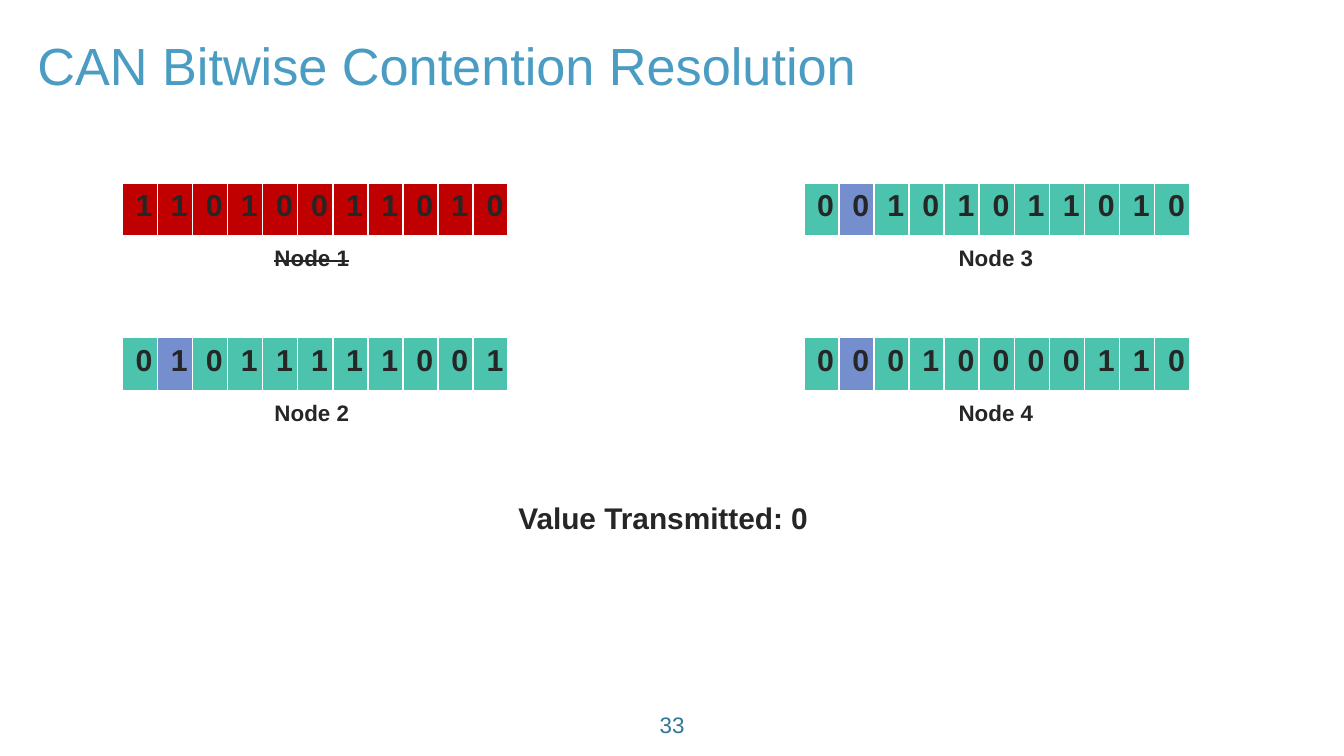
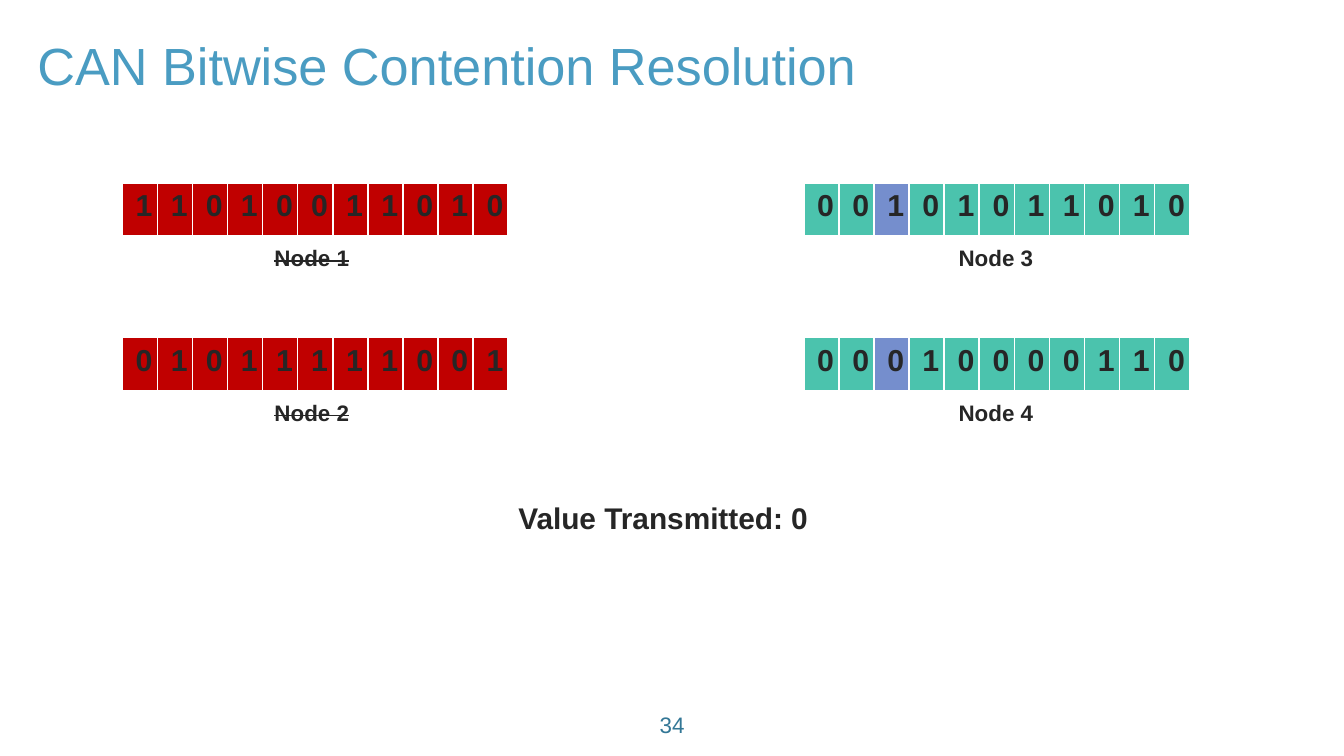
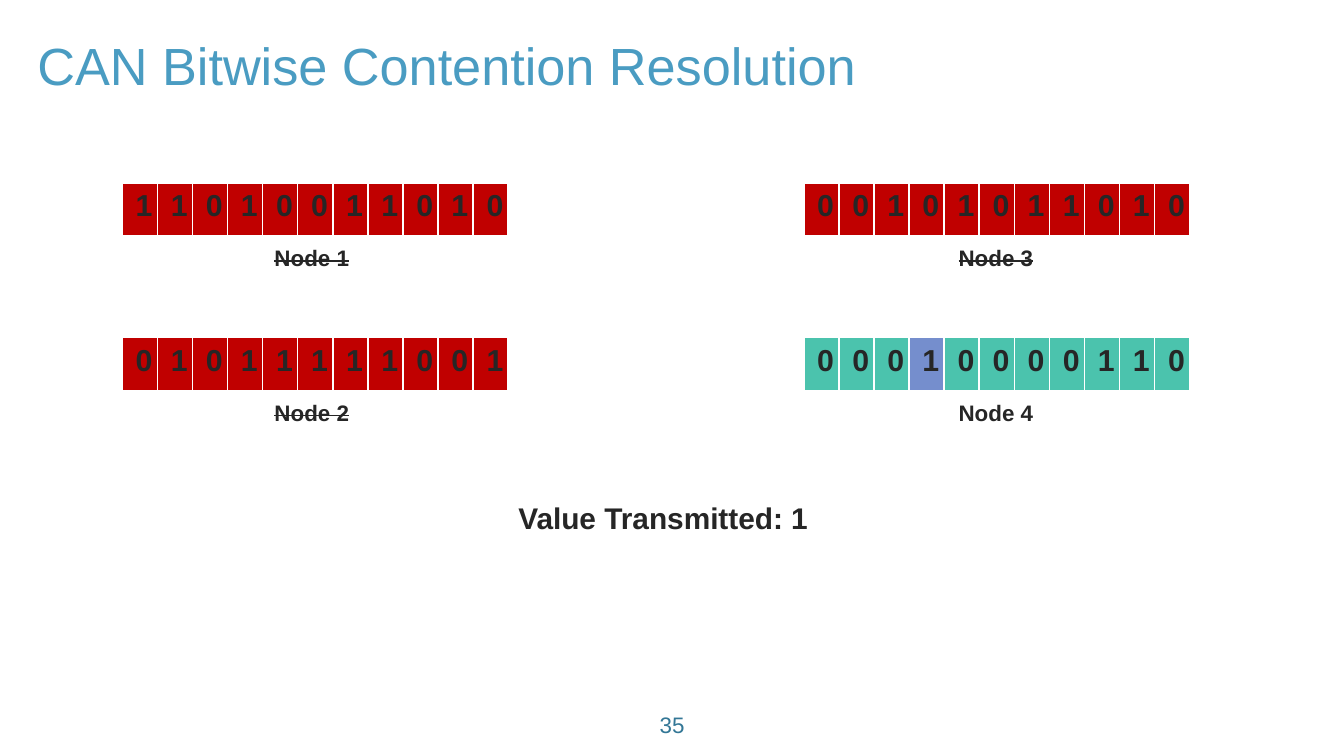
from dataclasses import dataclass

from lxml.etree import SubElement
from pptx import Presentation
from pptx.dml.color import RGBColor
from pptx.enum.text import MSO_ANCHOR, MSO_AUTO_SIZE, PP_ALIGN
from pptx.oxml.ns import qn
from pptx.slide import Slide
from pptx.text.text import _Paragraph
from pptx.util import Pt

COLORS = {
    "title": "4A9CC2",
    "page": "337796",
    "text": "262626",
    "lost": "C00000",
    "active": "4BC3AD",
    "current": "758ECD",
    "border": "FFFFFF",
}
FONT = "Arial"
FIRST_PAGE = 33
BIT_WIDTH, BIT_HEIGHT = 18.8, 29.5
BORDERS = {"a:lnL": 1, "a:lnR": 1, "a:lnT": 1, "a:lnB": 3}


@dataclass(frozen=True)
class Node:
    name: str
    bits: str
    left: float
    top: float
    label_left: float


@dataclass(frozen=True)
class Caption:
    left: float
    top: float
    width: float
    height: float
    size: float
    color: str = "text"
    bold: bool = True
    wrap: bool = False
    align: PP_ALIGN = PP_ALIGN.CENTER
    anchor: MSO_ANCHOR = MSO_ANCHOR.TOP
    inset_top: float = 3.6
    inset_bottom: float = 3.6


LEFT, RIGHT = (65.5, 139.7), (430.6, 506.2)
UPPER, LOWER = 97.9, 180.7
NODES = [
    Node("Node 1", "11010011010", LEFT[0], UPPER, LEFT[1]),
    Node("Node 3", "00101011010", RIGHT[0], UPPER, RIGHT[1]),
    Node("Node 2", "01011111001", LEFT[0], LOWER, LEFT[1]),
    Node("Node 4", "00010000110", RIGHT[0], LOWER, RIGHT[1]),
]

TITLE = Caption(13, 11.5, 689, 41, 28, "title", bold=False, wrap=True,
                align=PP_ALIGN.LEFT, inset_top=6.2, inset_bottom=2)
PAGE = Caption(326.2, 377.3, 67.7, 21.6, 12, "page", bold=False, wrap=True,
               anchor=MSO_ANCHOR.MIDDLE)
RESULT = Caption(269.3, 264.2, 176.4, 26.6, 16)


def style(paragraph: _Paragraph, size: float, color: str, bold: bool,
          align: PP_ALIGN) -> None:
    paragraph.alignment = align
    font = paragraph.font
    font.name, font.size, font.bold = FONT, Pt(size), bold
    font.color.rgb = RGBColor.from_string(COLORS[color])


def add_caption(slide: Slide, caption: Caption, text: str,
                struck: bool = False) -> None:
    box = slide.shapes.add_textbox(Pt(caption.left), Pt(caption.top),
                                   Pt(caption.width), Pt(caption.height))
    frame = box.text_frame
    frame.word_wrap = caption.wrap
    frame.auto_size = MSO_AUTO_SIZE.SHAPE_TO_FIT_TEXT
    frame.vertical_anchor = caption.anchor
    frame.margin_top = Pt(caption.inset_top)
    frame.margin_bottom = Pt(caption.inset_bottom)
    paragraph = frame.paragraphs[0]
    run = paragraph.add_run()
    run.text = text
    style(paragraph, caption.size, caption.color, caption.bold, caption.align)
    if struck:
        run._r.get_or_add_rPr().set("strike", "sngStrike")


def add_borders(cell) -> None:
    properties = cell._tc.get_or_add_tcPr()
    for tag, width in BORDERS.items():
        line = SubElement(properties, qn(tag), w=str(Pt(width)))
        fill = SubElement(line, qn("a:solidFill"))
        SubElement(fill, qn("a:srgbClr"), val=COLORS["border"])


def add_bits(slide: Slide, node: Node, current: int, lost: bool) -> None:
    count = len(node.bits)
    table = slide.shapes.add_table(1, count, Pt(node.left), Pt(node.top),
                                   Pt(BIT_WIDTH * count), Pt(BIT_HEIGHT)).table
    table.first_row = table.horz_banding = False
    table.rows[0].height = Pt(BIT_HEIGHT)
    for index, bit in enumerate(node.bits):
        table.columns[index].width = Pt(BIT_WIDTH)
        cell = table.cell(0, index)
        add_borders(cell)
        state = "lost" if lost else "current" if index == current else "active"
        cell.fill.solid()
        cell.fill.fore_color.rgb = RGBColor.from_string(COLORS[state])
        cell.text = bit
        style(cell.text_frame.paragraphs[0], 16.2, "text", True, PP_ALIGN.CENTER)


def survivors(position: int) -> list[Node]:
    """Nodes still contending for the bus at this bit: a 0 beats a 1."""
    active = NODES
    for index in range(position):
        winner = min(node.bits[index] for node in active)
        active = [node for node in active if node.bits[index] == winner]
    return active


def add_round(slide: Slide, position: int, page: int) -> None:
    add_caption(slide, TITLE, "CAN Bitwise Contention Resolution")
    add_caption(slide, PAGE, str(page))
    active = survivors(position)

    # Node frames with their labels
    for node in NODES:
        lost = node not in active
        add_bits(slide, node, position, lost)
        label = Caption(node.label_left, node.top + BIT_HEIGHT, 54.7, 21.6, 12)
        add_caption(slide, label, node.name, struck=lost)

    # Value on the bus
    sent = min(node.bits[position] for node in active)
    add_caption(slide, RESULT, f"Value Transmitted: {sent} ")


def main() -> None:
    deck = Presentation()
    deck.slide_width, deck.slide_height = Pt(720), Pt(405)
    for page, position in enumerate((1, 2, 3), FIRST_PAGE):
        add_round(deck.slides.add_slide(deck.slide_layouts[6]), position, page)
    deck.save("out.pptx")


if __name__ == "__main__":
    main()
